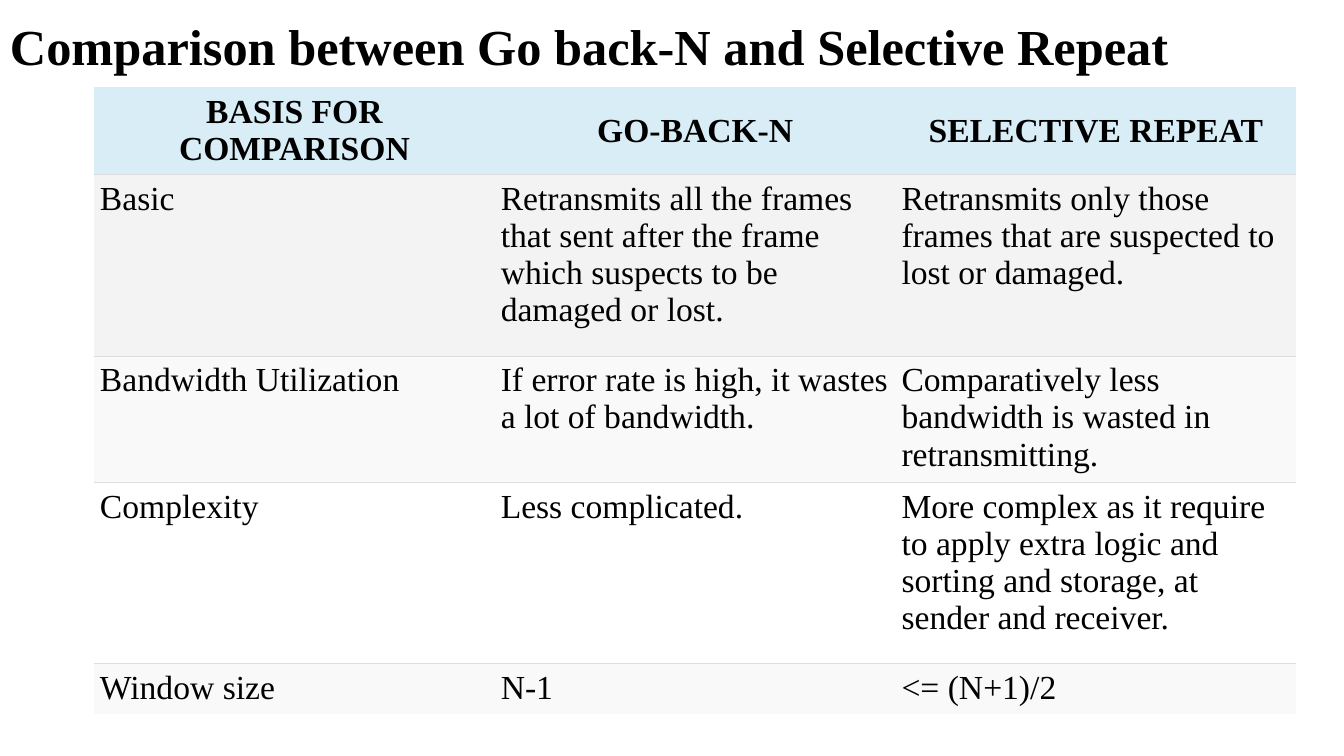
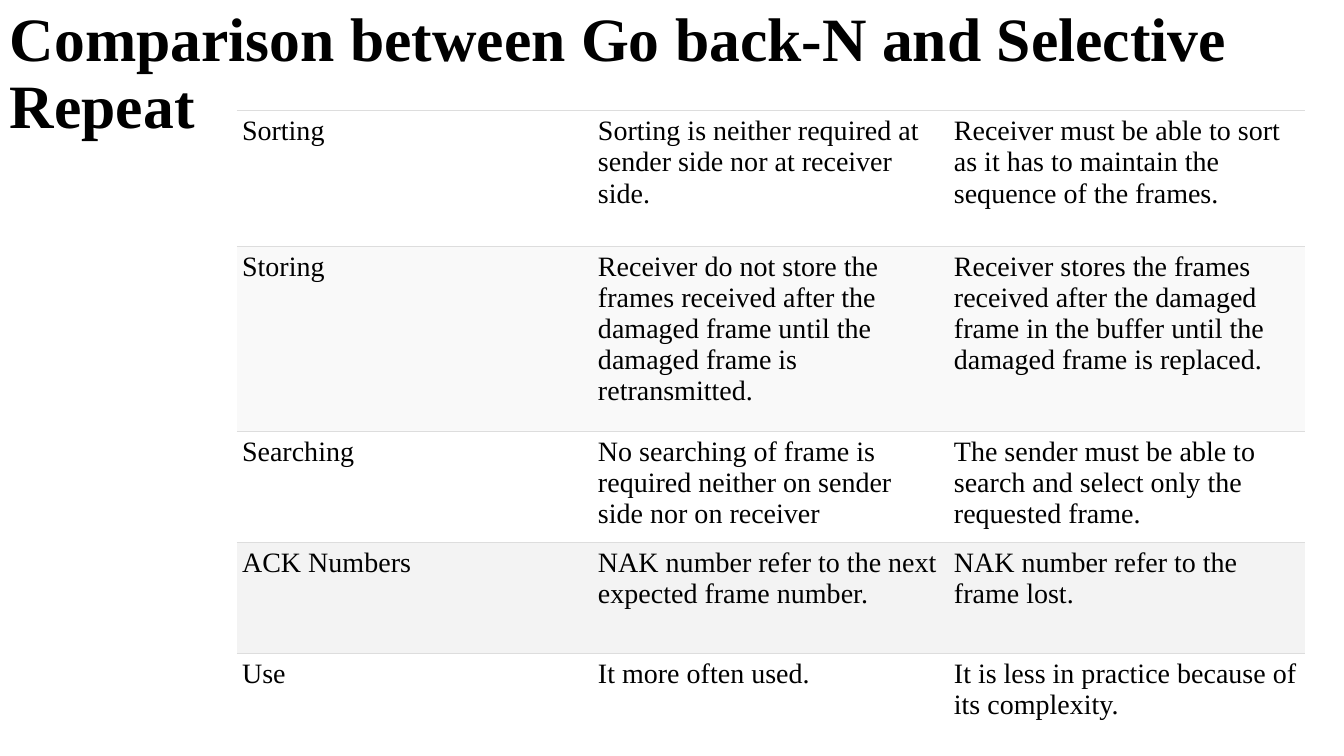
"""Build two slides that compare Go back-N with Selective Repeat."""
from lxml.etree import SubElement
from pptx import Presentation as Deck
from pptx.dml.color import RGBColor as Color
from pptx.enum.text import MSO_ANCHOR as Anchor, PP_ALIGN as Align
from pptx.oxml.ns import qn
from pptx.util import Cm, Pt

COLORS = {
    "text": "000000",
    "line": "DDDDDD",
    "head": "D9EDF7",
    "dark": "F3F3F3",
    "pale": "F9F9F9",
    "white": "FFFFFF",
}
FONT = "Times New Roman"
WIDE, HIGH = 33.87, 19.05
TITLE = "Comparison between Go back-N and Selective Repeat"

BASICS = [
    ("head", 2.21, ("BASIS FOR COMPARISON", "GO-BACK-N", "SELECTIVE REPEAT")),
    ("dark", 4.57, (
        "Basic",
        "Retransmits all the frames that sent after the frame which suspects to be damaged or lost.",
        "Retransmits only those frames that are suspected to lost or damaged.")),
    ("pale", 3.18, (
        "Bandwidth Utilization",
        "If error rate is high, it wastes a lot of bandwidth.",
        "Comparatively less bandwidth is wasted in retransmitting.")),
    ("white", 4.57, (
        "Complexity",
        "Less complicated.",
        "More complex as it require to apply extra logic and sorting and storage, "
        "at sender and receiver.")),
    ("pale", 1.27, ("Window size", "N-1", "<= (N+1)/2")),
]
DETAILS = [
    ("white", 3.42, (
        "Sorting",
        "Sorting is neither required at sender side nor at receiver side.",
        "Receiver must be able to sort as it has to maintain the sequence of the frames.")),
    ("pale", 4.65, (
        "Storing",
        "Receiver do not store the frames received after the damaged frame "
        "until the damaged frame is retransmitted.",
        "Receiver stores the frames received after the damaged frame in the buffer "
        "until the damaged frame is replaced.")),
    ("white", 2.8, (
        "Searching",
        "No searching of frame is required neither on sender side nor on receiver",
        "The sender must be able to search and select only the requested frame.")),
    ("dark", 2.8, (
        "ACK Numbers",
        "NAK number refer to the next expected frame number.",
        "NAK number refer to the frame lost.")),
    ("white", 2.18, (
        "Use",
        "It more often used.",
        "It is less in practice because of its complexity.")),
]


def tint(name):
    return Color.from_string(COLORS[name])


def add_run(para, text, size, bold):
    run = para.add_run()
    run.text = text
    font = run.font
    font.name, font.size, font.bold = FONT, Pt(size), bold
    font.color.rgb = tint("text")


def add_title(slide, top, high, size):
    box = slide.shapes.add_textbox(0, Cm(top), Cm(WIDE), Cm(high))
    frame = box.text_frame
    frame.word_wrap = True
    frame.vertical_anchor = Anchor.MIDDLE
    para = frame.paragraphs[0]
    para.line_spacing = 0.9
    add_run(para, TITLE, size, True)


def set_edges(cell, above, below):
    props = cell._tc.get_or_add_tcPr()
    edges = {"lnL": False, "lnR": False, "lnT": above, "lnB": below}
    for spot, (tag, shown) in enumerate(edges.items()):
        edge = SubElement(props, qn(f"a:{tag}"), w=str(Pt(0.75)))
        if shown:
            fill = SubElement(edge, qn("a:solidFill"))
            SubElement(fill, qn("a:srgbClr"), val=COLORS["line"])
        else:
            SubElement(edge, qn("a:noFill"))
        props.insert(spot, edge)


def fill_cell(cell, text, shade, size, inset):
    head = shade == "head"
    cell.fill.solid()
    cell.fill.fore_color.rgb = tint(shade)
    cell.margin_left = cell.margin_right = Cm(inset)
    cell.margin_top = cell.margin_bottom = Cm(inset)
    cell.vertical_anchor = Anchor.MIDDLE if head else Anchor.TOP
    para = cell.text_frame.paragraphs[0]
    para.alignment = Align.CENTER if head else Align.LEFT
    add_run(para, text, size, head)


def add_grid(slide, rows, left, top, col, size, inset):
    count = len(rows[0][2])
    high = sum(row[1] for row in rows)
    table = slide.shapes.add_table(
        len(rows), count, Cm(left), Cm(top), Cm(col * count), Cm(high)).table
    table.first_row = rows[0][0] == "head"
    table.horz_banding = False
    for part in table.columns:
        part.width = Cm(col)
    for y, (shade, tall, texts) in enumerate(rows):
        table.rows[y].height = Cm(tall)
        for x, text in enumerate(texts):
            cell = table.cell(y, x)
            fill_cell(cell, text, shade, size, inset)
            set_edges(cell, shade != "head", y < len(rows) - 1)


def main():
    deck = Deck()
    deck.slide_width, deck.slide_height = Cm(WIDE), Cm(HIGH)
    blank = deck.slide_layouts[6]

    first = deck.slides.add_slide(blank)
    add_grid(first, BASICS, left=2.37, top=2.19, col=10.1, size=24, inset=0.15)
    add_title(first, top=0, high=2.46, size=36)

    second = deck.slides.add_slide(blank)
    add_title(second, top=0.05, high=3.68, size=44)
    add_grid(second, DETAILS, left=5.97, top=2.79, col=8.97, size=20, inset=0.13)

    deck.save("out.pptx")


if __name__ == "__main__":
    main()
